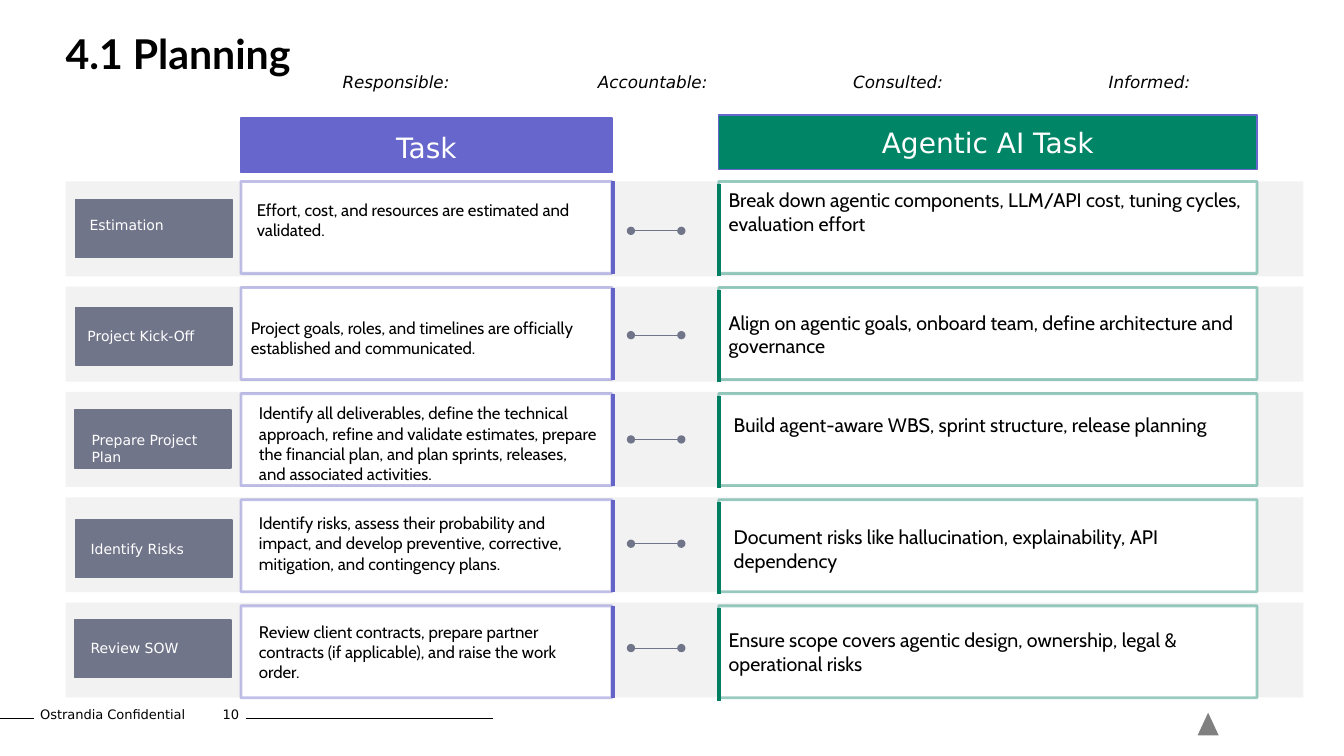
from lxml import etree
from pptx import Presentation
from pptx.dml.color import RGBColor
from pptx.enum.shapes import MSO_CONNECTOR, MSO_SHAPE
from pptx.enum.text import MSO_ANCHOR, MSO_AUTO_SIZE, PP_ALIGN
from pptx.oxml.ns import qn
from pptx.util import Pt

BLACK = RGBColor(0x00, 0x00, 0x00)
WHITE = RGBColor(0xFF, 0xFF, 0xFF)
BAND_GRAY = RGBColor(0xF2, 0xF2, 0xF2)
MARK_GRAY = RGBColor(0x80, 0x80, 0x80)
SLATE = RGBColor(0x71, 0x75, 0x8A)
PURPLE = RGBColor(0x63, 0x63, 0xC8)
HEADER_PURPLE = RGBColor(0x66, 0x66, 0xCC)
GREEN = RGBColor(0x00, 0x7F, 0x62)
HEADER_GREEN = RGBColor(0x00, 0x85, 0x67)

SANS, BODY, TITLE_FONT = "DejaVu Sans", "Cabin", "Lato"

LEFT = 46.8
BAND_WIDTH, BAND_HEIGHT = 884.2, 67.8
ROW_TOP, ROW_PITCH, BAND_PITCH, LINK_PITCH = 129.6, 75.8, 75.2, 74.5
CARD_HEIGHT = 65.7
TASK_LEFT, TASK_WIDTH = 172.1, 265
AGENT_LEFT, AGENT_WIDTH = 513.4, 384.5

# Each part: text, then its offset from the left of its column and the row top
ROWS = [
    {"tag": (7.2, 13), "label": ("Estimation", 10.1, 21.6),
     "task": ("Effort, cost, and resources are estimated and validated.", 4.3, 9.4),
     "agent": ("Break down agentic components, LLM/API cost, tuning cycles, "
               "evaluation effort", 0, 1.4)},
    {"tag": (7.2, 14.2), "label": ("Project Kick-Off", 8.6, 25),
     "task": ("Project goals, roles, and timelines are officially established "
              "and communicated.", 0, 17.8),
     "agent": ("Align on agentic goals, onboard team, define architecture and "
               "governance", 0, 12.8)},
    {"tag": (6.5, 11.8), "label": ("Prepare Project Plan", 11.5, 23.4),
     "task": ("Identify all deliverables, define the technical approach, refine and "
              "validate estimates, prepare the financial plan, and plan sprints, "
              "releases, and associated activities.", 5.8, 3.2),
     "agent": ("Build agent-aware WBS, sprint structure, release planning", 3.6, 10.4)},
    {"tag": (7.2, 14.5), "label": ("Identify Risks", 10.8, 25.3),
     "task": ("Identify risks, assess their probability and impact, and develop "
              "preventive, corrective, mitigation, and contingency plans.", 5.8, 5.9),
     "agent": ("Document risks like hallucination, explainability, API dependency",
               3.6, 14.5)},
    {"tag": (6.5, 10), "label": ("Review SOW", 10.8, 20.8),
     "task": ("Review client contracts, prepare partner contracts (if applicable), "
              "and raise the work order.", 5.8, 7.8),
     "agent": ("Ensure scope covers agentic design, ownership, legal & operational "
               "risks", 0, 12.2)},
]


def add_box(slide, left, top, width, height, fill, line=None, weight=1, opacity=100,
            kind=MSO_SHAPE.RECTANGLE):
    shape = slide.shapes.add_shape(kind, Pt(left), Pt(top), Pt(width), Pt(height))
    shape.shadow.inherit = False
    shape.fill.solid()
    shape.fill.fore_color.rgb = fill
    if line is None:
        shape.line.fill.background()
        return
    shape.line.color.rgb = line
    shape.line.width = Pt(weight)
    if opacity < 100:
        color = shape.line._ln.find(".//" + qn("a:srgbClr"))
        etree.SubElement(color, qn("a:alpha")).set("val", str(opacity * 1000))


def add_line(slide, left, top, right, bottom, color, weight=0.75, dots=False):
    connector = slide.shapes.add_connector(
        MSO_CONNECTOR.STRAIGHT, Pt(left), Pt(top), Pt(right), Pt(bottom))
    connector.line.color.rgb = color
    connector.line.width = Pt(weight)
    if dots:
        for end in ("a:headEnd", "a:tailEnd"):
            etree.SubElement(connector.line._ln, qn(end)).set("type", "oval")
    etree.SubElement(connector._element.spPr, qn("a:effectLst"))


def add_text(slide, text, left, top, width, height, size, font=SANS, color=BLACK,
             align=PP_ALIGN.LEFT, anchor=MSO_ANCHOR.TOP, italic=False):
    box = slide.shapes.add_textbox(Pt(left), Pt(top), Pt(width), Pt(height))
    frame = box.text_frame
    frame.word_wrap = True
    frame.auto_size = MSO_AUTO_SIZE.SHAPE_TO_FIT_TEXT
    frame.vertical_anchor = anchor
    frame.text = text
    paragraph = frame.paragraphs[0]
    paragraph.alignment = align
    run_font = paragraph.runs[0].font
    run_font.name, run_font.size, run_font.italic = font, Pt(size), italic
    run_font.color.rgb = color


def add_title(slide, left, top, width, height):
    title = slide.shapes.title
    title.left, title.top, title.width, title.height = map(Pt, (left, top, width, height))
    frame = title.text_frame
    frame.text = "4.1 Planning"
    frame.auto_size = MSO_AUTO_SIZE.NONE
    frame.vertical_anchor = MSO_ANCHOR.MIDDLE
    frame.margin_left = frame.margin_right = frame.margin_top = frame.margin_bottom = 0
    paragraph = frame.paragraphs[0]
    paragraph.alignment = PP_ALIGN.LEFT
    paragraph.space_after = Pt(6)
    font = paragraph.runs[0].font
    font.name, font.size, font.bold = TITLE_FONT, Pt(29.3), True
    font.color.rgb = BLACK


def add_roles(slide, left, top, pitch):
    for index, role in enumerate(("Responsible:", "Accountable:", "Consulted:", "Informed:")):
        add_text(slide, role, left + index * pitch, top, 175, 21.6, 12, italic=True)


def add_header(slide, text, left, top, width, fill, text_offset):
    add_box(slide, left, top, width, 38.9, fill, HEADER_PURPLE)
    add_text(slide, text, left, top + text_offset, width, 31.7, 20, color=WHITE,
             align=PP_ALIGN.CENTER, anchor=MSO_ANCHOR.MIDDLE)


def add_card(slide, part, left, top, width, color, size, edge, edge_offset, text_width):
    text, dx, dy = part
    add_box(slide, left, top, width, CARD_HEIGHT, WHITE, color, 2, 40)
    add_line(slide, edge, top + edge_offset, edge, top + edge_offset + 66, color, 3)
    add_text(slide, text, left + dx, top + dy, text_width, 36, size, BODY)


def add_row(slide, index, row):
    top = ROW_TOP + index * ROW_PITCH
    # Band and phase label
    add_box(slide, LEFT, ROW_TOP + index * BAND_PITCH, BAND_WIDTH, BAND_HEIGHT, BAND_GRAY)
    dx, dy = row["tag"]
    add_box(slide, LEFT + dx, top + dy, 111.8, 41.2, SLATE, SLATE)
    text, dx, dy = row["label"]
    add_text(slide, text, LEFT + dx, top + dy, 106.6, 19.4, 10, color=WHITE)
    # Task card, linked to its agentic counterpart
    task_text_width = TASK_WIDTH - 3.2 - row["task"][1]
    add_card(slide, row["task"], TASK_LEFT, top, TASK_WIDTH, PURPLE, 12,
             TASK_LEFT + TASK_WIDTH + 0.7, 0, task_text_width)
    add_card(slide, row["agent"], AGENT_LEFT, top, AGENT_WIDTH, GREEN, 14,
             AGENT_LEFT, 1.6, AGENT_WIDTH)
    link_y = 164.9 + index * LINK_PITCH
    add_line(slide, 450.7, link_y, 486.7, link_y, SLATE, dots=True)


def add_footer(slide, top):
    add_text(slide, "Ostrandia Confidential", 21.6, top, 131, 18.7, 9.3)
    add_text(slide, "10", 141.1, top, 36.7, 18.7, 9.3, align=PP_ALIGN.RIGHT)
    for left, right in ((0, 24), (175.7, 352.1)):
        add_line(slide, left, top + 12, right, top + 12, BLACK)
    # Plain corner mark
    add_box(slide, 855.4, top + 8, 15.1, 16.2, MARK_GRAY, kind=MSO_SHAPE.ISOSCELES_TRIANGLE)


def main():
    presentation = Presentation()
    presentation.slide_width, presentation.slide_height = Pt(960), Pt(540)
    slide = presentation.slides.add_slide(presentation.slide_layouts[5])
    add_footer(slide, 501.1)
    add_title(slide, LEFT, 20.9, 840.2, 34.6)
    add_header(slide, "Task", TASK_LEFT, 84.2, TASK_WIDTH, HEADER_PURPLE, 5)
    add_header(slide, "Agentic AI Task", AGENT_LEFT, 82.1, AGENT_WIDTH, HEADER_GREEN, 3.6)
    for index, row in enumerate(ROWS):
        add_row(slide, index, row)
    add_roles(slide, 237.6, 47.5, 182.4)
    presentation.save("out.pptx")


if __name__ == "__main__":
    main()
